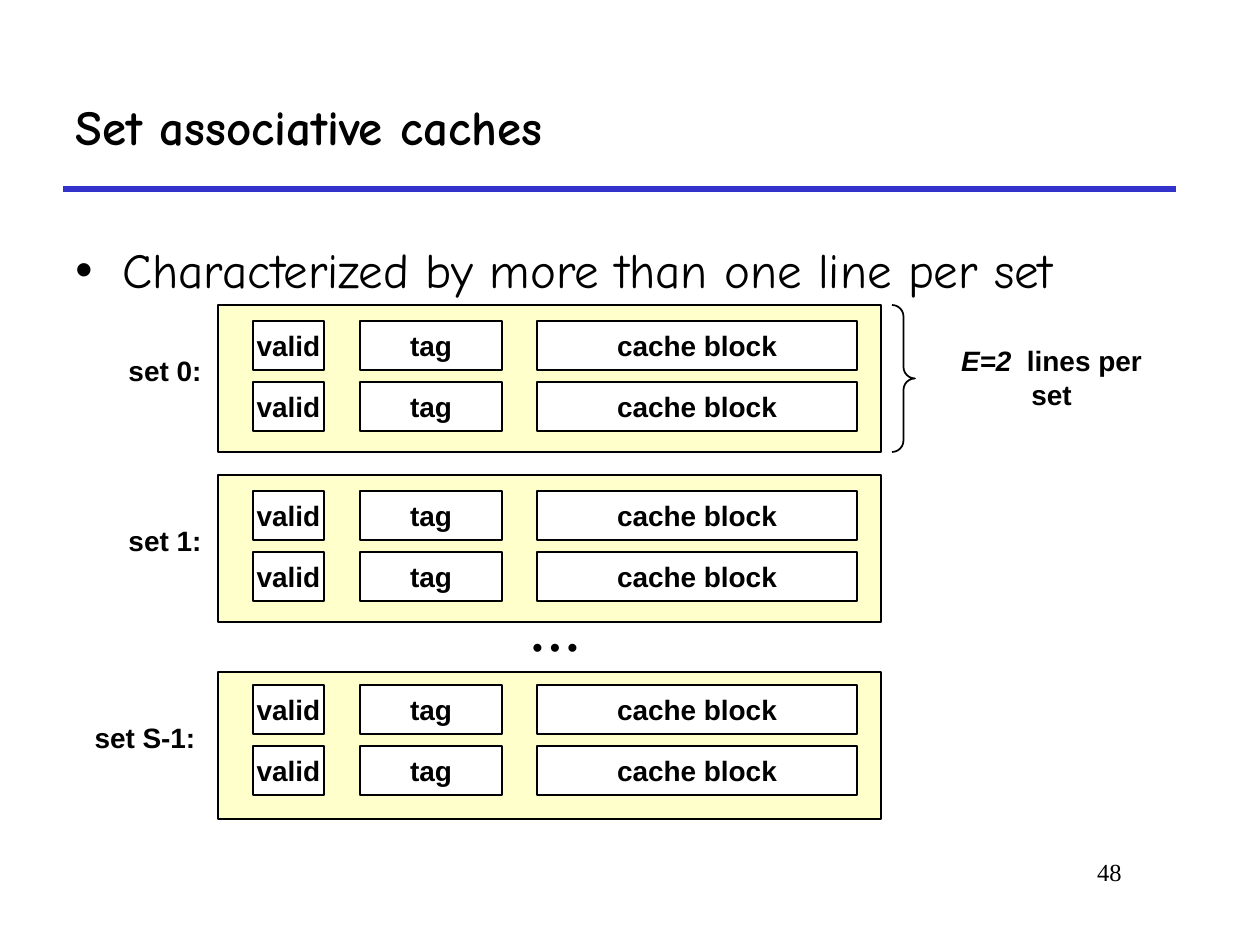
from typing import NamedTuple

from lxml import etree
from pptx import Presentation, util as u
from pptx.dml.color import RGBColor
from pptx.enum import shapes, text
from pptx.oxml.ns import qn

PX_PER_INCH = 126
BLACK, WHITE, YELLOW, BLUE = "000000", "FFFFFF", "FFFF99", "3333CC"
SET_LEFT, SET_WIDTH, SET_HEIGHT = 218, 663, 147
ROW_STEP, CELL_HEIGHT, LINES_PER_SET = 61, 49, 2
LABEL_RISE, LABEL_HEIGHT = 42, 47


class Box(NamedTuple):
    left: int
    top: int
    width: int
    height: int


class CacheSet(NamedTuple):
    label: str
    top: int
    first_row: int
    label_left: int
    label_width: int


class Field(NamedTuple):
    name: str
    left: int
    width: int


class Run(NamedTuple):
    words: str
    italic: bool = False


SETS = [
    CacheSet("set 0:", 305, 321, 116, 98),
    CacheSet("set 1:", 475, 491, 116, 98),
    CacheSet("set S-1:", 672, 685, 82, 126),
]
FIELDS = [
    Field("valid", 253, 71),
    Field("tag", 360, 142),
    Field("cache block", 537, 320),
]

DIAGRAM_FONT = {"name": "Arial", "size": u.Pt(16), "bold": True}
TITLE_FONT = {"name": "Comic Neue", "size": u.Pt(28), "bold": True}
BODY_FONT = {"name": "Comic Neue", "size": u.Pt(28), "bold": False}
NUMBER_FONT = {"name": "Times New Roman", "size": u.Pt(14), "bold": False}
CENTERED = {"alignment": text.PP_ALIGN.CENTER}
LEFT = {"alignment": text.PP_ALIGN.LEFT}
RIGHT = {"alignment": text.PP_ALIGN.RIGHT}
MIDDLE = {"word_wrap": False, "vertical_anchor": text.MSO_ANCHOR.MIDDLE}
TOP = {"word_wrap": True, "vertical_anchor": text.MSO_ANCHOR.TOP}


def px(length: int) -> int:
    return u.Inches(length / PX_PER_INCH)


def emu(box: Box) -> list[int]:
    return [px(length) for length in box]


def color(hex_value: str) -> RGBColor:
    return RGBColor.from_string(hex_value)


def apply(target, values: dict) -> None:
    for name, value in values.items():
        setattr(target, name, value)


def write(frame, runs: list[Run], font: dict, layout: dict, align: dict):
    apply(frame, layout)
    paragraph = frame.paragraphs[0]
    apply(paragraph, align)
    for words, italic in runs:
        run = paragraph.add_run()
        run.text = words
        apply(run.font, {**font, "italic": italic})
        run.font.color.rgb = color(BLACK)
    return paragraph


def add_text(slide, box: Box, runs: list[Run], font=DIAGRAM_FONT,
             layout=MIDDLE, align=CENTERED):
    frame = slide.shapes.add_textbox(*emu(box)).text_frame
    return frame, write(frame, runs, font, layout, align)


def add_outlined(slide, kind, box: Box, fill: str | None = None):
    shape = slide.shapes.add_shape(kind, *emu(box))
    shape.shadow.inherit = False
    if fill:
        shape.fill.solid()
        shape.fill.fore_color.rgb = color(fill)
    else:
        shape.fill.background()
    shape.line.color.rgb = color(BLACK)
    shape.line.width = u.Pt(1)
    return shape


def add_set(slide, cache_set: CacheSet) -> None:
    frame_box = Box(SET_LEFT, cache_set.top, SET_WIDTH, SET_HEIGHT)
    panel = add_outlined(slide, shapes.MSO_SHAPE.RECTANGLE, frame_box, YELLOW)
    fill_color = panel.fill._xPr.find(qn("a:solidFill"))[0]
    etree.SubElement(fill_color, qn("a:alpha"), val="50000")
    add_text(slide, Box(cache_set.label_left, cache_set.top + LABEL_RISE,
                        cache_set.label_width, LABEL_HEIGHT),
             [Run(cache_set.label)])
    for row in range(LINES_PER_SET):
        top = cache_set.first_row + row * ROW_STEP
        for field in FIELDS:
            cell = add_outlined(slide, shapes.MSO_SHAPE.RECTANGLE,
                                Box(field.left, top, field.width, CELL_HEIGHT),
                                WHITE)
            write(cell.text_frame, [Run(field.name)], DIAGRAM_FONT, MIDDLE,
                  CENTERED)


def add_rule(slide) -> None:
    rule = slide.shapes.add_connector(
        shapes.MSO_CONNECTOR.STRAIGHT, px(63), px(189), px(1176), px(189))
    rule.line.color.rgb = color(BLUE)
    rule.line.width = u.Pt(3)
    etree.SubElement(rule._element.spPr, qn("a:effectLst"))


def add_bullet_line(slide) -> None:
    frame, paragraph = add_text(
        slide, Box(63, 221, 1144, 84),
        [Run("Characterized by more than one line per set")],
        BODY_FONT, TOP, LEFT)
    frame.margin_top = px(19)
    properties = paragraph._p.get_or_add_pPr()
    indent = px(47)
    properties.set("marL", str(indent))
    properties.set("indent", str(-indent))
    etree.SubElement(properties, qn("a:buFont"), typeface="Arial")
    etree.SubElement(properties, qn("a:buChar"), char="•")


def main() -> None:
    deck = Presentation()
    apply(deck, {"slide_width": u.Inches(10), "slide_height": u.Inches(7.5)})
    slide = deck.slides.add_slide(deck.slide_layouts[6])

    add_rule(slide)
    add_text(slide, Box(955, 851, 179, 63), [Run("48")], NUMBER_FONT, TOP, RIGHT)
    add_text(slide, Box(63, 63, 1113, 126), [Run("Set associative caches")],
             TITLE_FONT, {**MIDDLE, "word_wrap": True}, LEFT)
    add_bullet_line(slide)

    for cache_set in SETS:
        add_set(slide, cache_set)

    brace = add_outlined(slide, shapes.MSO_SHAPE.RIGHT_BRACE,
                         Box(892, SETS[0].top, 23, SET_HEIGHT))
    brace.adjustments[0] = 0.5
    add_text(slide, Box(925, 354, 253, LABEL_HEIGHT),
             [Run("E=2", True), Run("  lines per set")])
    add_text(slide, Box(502, 622, 106, CELL_HEIGHT), [Run("• • •")])

    deck.save("out.pptx")


if __name__ == "__main__":
    main()
